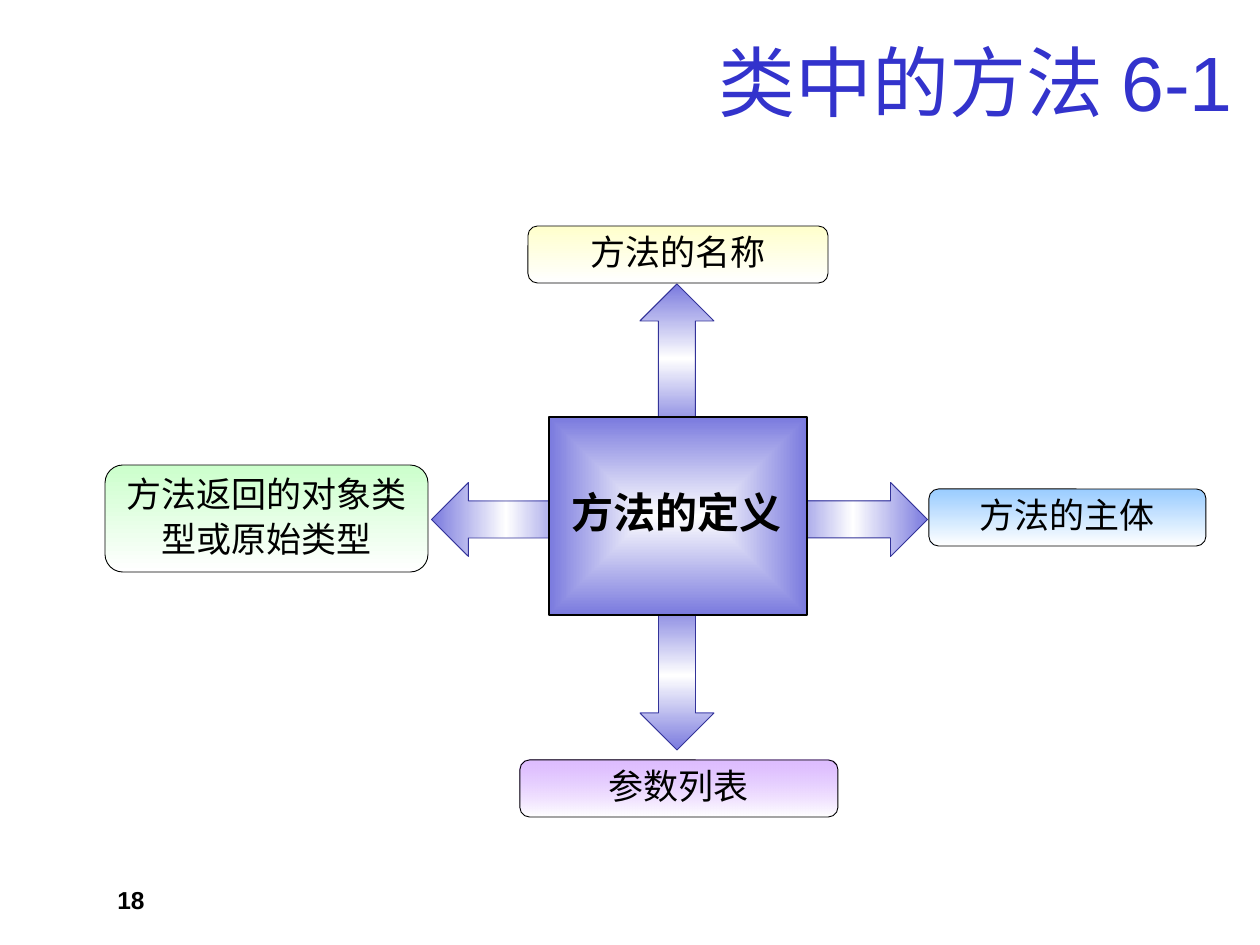
"""Build a slide showing the four parts of a method definition."""
from lxml import etree
from pptx import Presentation
from pptx import util as u
from pptx.dml.color import RGBColor
from pptx.enum import shapes, text
from pptx.oxml import ns

PX = 914400 // 126
BLACK = RGBColor(0, 0, 0)
WHITE = RGBColor(255, 255, 255)
BLUE = RGBColor(0x33, 0x33, 0xCC)
NAVY = RGBColor(0x33, 0x33, 0x99)
IRIS = RGBColor(0x7A, 0x7A, 0xDE)
CREAM = RGBColor(0xFF, 0xFF, 0xCC)
LILAC = RGBColor(0xCC, 0x99, 0xFF)
SKY = RGBColor(0x99, 0xCC, 0xFF)
MINT = RGBColor(0xCC, 0xFF, 0xCC)

LABELS = [
    ((528, 226, 300, 57), CREAM, 100, ["方法的名称"]),
    ((520, 760, 318, 57), LILAC, 65, ["参数列表"]),
    ((929, 489, 277, 57), SKY, 100, ["方法的主体"]),
    ((105, 465, 323, 107), MINT, 100, ["方法返回的对象类", "型或原始类型"]),
]
ARROWS = [(640, 284, 0), (640, 601, 180), (469, 445, 270), (816, 445, 90)]


def write(shape, lines, size=20, color=BLACK, font="Arial", bold=False,
          align=text.PP_ALIGN.CENTER, anchor=text.MSO_ANCHOR.MIDDLE,
          gap=0.9):
    """Put formatted lines in a shape."""
    frame = shape.text_frame
    frame.word_wrap = True
    frame.vertical_anchor = anchor
    for i, line in enumerate(lines):
        para = frame.add_paragraph() if i else frame.paragraphs[0]
        para.alignment = align
        para.line_spacing = gap
        para.space_before = u.Pt(size * 0.2 if i else 0)
        run = para.add_run()
        run.text = line
        run.font.size = u.Pt(size)
        run.font.name = font
        run.font.bold = bold
        run.font.color.rgb = color


def blend(shape, stops, center=False):
    """Fill a shape with an even vertical or centred gradient."""
    shape.fill.background()
    old = shape._element.spPr.find(ns.qn("a:noFill"))
    grad = etree.Element(ns.qn("a:gradFill"), rotWithShape="1")
    items = etree.SubElement(grad, ns.qn("a:gsLst"))
    for i, (color, alpha) in enumerate(stops):
        pos = 100000 * i // (len(stops) - 1)
        stop = etree.SubElement(items, ns.qn("a:gs"), pos=str(pos))
        tone = etree.SubElement(stop, ns.qn("a:srgbClr"), val=str(color))
        if alpha < 100:
            etree.SubElement(tone, ns.qn("a:alpha"), val=str(alpha * 1000))
    if center:
        way = etree.SubElement(grad, ns.qn("a:path"), {"path": "rect"})
        sides = dict.fromkeys("ltrb", "50000")
        etree.SubElement(way, ns.qn("a:fillToRect"), sides)
    else:
        etree.SubElement(grad, ns.qn("a:lin"), ang="5400000", scaled="1")
    old.getparent().replace(old, grad)


def add_box(slide, kind, box, stops, line=BLACK, width=0.5, center=False):
    """Add a gradient shape with an outline."""
    shape = slide.shapes.add_shape(kind, *(n * PX for n in box))
    shape.shadow.inherit = False
    blend(shape, stops, center)
    shape.line.color.rgb = line
    shape.line.width = u.Pt(width)
    return shape


def add_text(slide, box, line, **style):
    """Add a text box with one line."""
    write(slide.shapes.add_textbox(*(n * PX for n in box)), [line], **style)


def add_arrow(slide, left, top, turn):
    """Add a block arrow turned clockwise from up."""
    stops = [(IRIS, 100), (WHITE, 100), (IRIS, 100)]
    arrow = add_box(slide, shapes.MSO_SHAPE.UP_ARROW, (left, top, 74, 149),
                    stops, line=NAVY)
    arrow.rotation = turn


def add_label(slide, box, color, alpha, lines):
    """Add a rounded label."""
    label = add_box(slide, shapes.MSO_SHAPE.ROUNDED_RECTANGLE, box,
                    [(color, alpha), (WHITE, 100)])
    write(label, lines)


def main():
    """Build and save the slide."""
    deck = Presentation()
    deck.slide_width, deck.slide_height = u.Inches(10), u.Inches(7.5)
    slide = deck.slides.add_slide(deck.slide_layouts[6])
    add_text(slide, (105, 879, 293, 30), "18", size=14, bold=True, gap=1,
             align=text.PP_ALIGN.LEFT, anchor=text.MSO_ANCHOR.TOP)
    add_text(slide, (111, 26, 1134, 110), "类中的方法 6-1", size=44,
             color=BLUE, gap=1, align=text.PP_ALIGN.RIGHT)
    for arrow in ARROWS:
        add_arrow(slide, *arrow)
    add_box(slide, shapes.MSO_SHAPE.RECTANGLE, (549, 417, 258, 198),
            [(WHITE, 100), (IRIS, 100)], width=0.75, center=True)
    add_text(slide, (558, 486, 238, 58), "方法的定义", size=24, bold=True,
             font="Courier New", anchor=text.MSO_ANCHOR.TOP)
    for label in LABELS:
        add_label(slide, *label)
    deck.save("out.pptx")


main()
